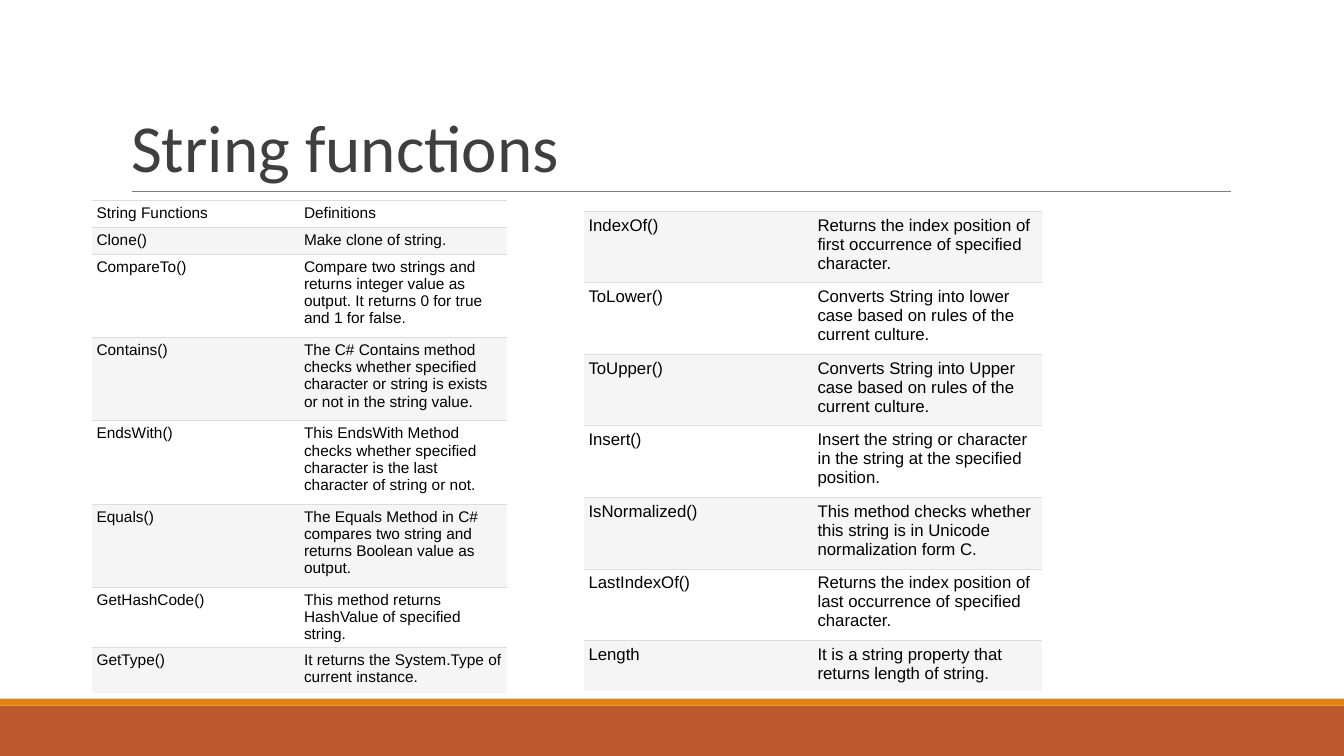
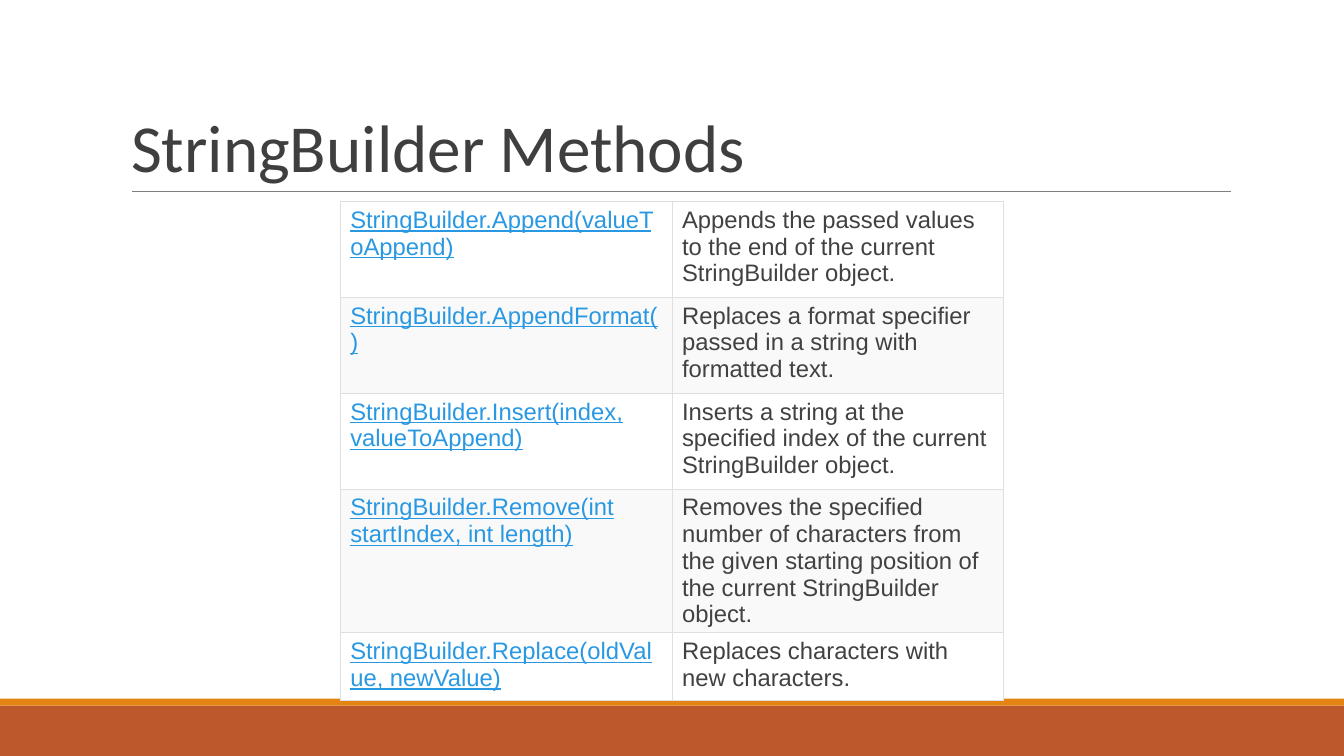
from lxml import etree
from pptx import Presentation
from pptx.dml.color import RGBColor
from pptx.enum.shapes import MSO_CONNECTOR, MSO_SHAPE
from pptx.enum.text import MSO_ANCHOR, MSO_AUTO_SIZE, PP_ALIGN
from pptx.oxml.ns import qn
from pptx.util import Pt

RECTANGLE = MSO_SHAPE.RECTANGLE
STRAIGHT = MSO_CONNECTOR.STRAIGHT
BOTTOM = MSO_ANCHOR.BOTTOM
LEFT = PP_ALIGN.LEFT
NO_FIT = MSO_AUTO_SIZE.NONE

COLORS = {
    "white": "FFFFFF", "brown": "BD582C", "orange": "E48312", "rule": "7F7F7F",
    "title": "3F3F3F", "black": "000000", "stripe": "F5F5F5", "border": "DDDDDD",
    "link": "2998E3", "text": "414141", "pale": "F9F9F9", "grid": "DFDFDF",
}
TITLE_ONLY = 5
PAGE_WIDTH, PAGE_HEIGHT = 960, 540
BANDS = [("brown", 504, 36), ("orange", 499, 5)]
TITLE_BOX = {"left": 86.4, "top": 22.3, "width": 792, "height": 114.5}
TITLE_FRAME = {
    "margin_left": Pt(7.2), "margin_right": Pt(7.2),
    "margin_top": Pt(3.6), "margin_bottom": Pt(3.6),
    "vertical_anchor": BOTTOM, "auto_size": NO_FIT, "word_wrap": True,
}
SIDES = ("L", "R", "T", "B")

BASIC_FUNCTIONS = [
    ("String Functions", "Definitions"),
    ("Clone()", "Make clone of string."),
    ("CompareTo()", "Compare two strings and returns integer value as output. "
     "It returns 0 for true and 1 for false."),
    ("Contains()", "The C# Contains method checks whether specified character or "
     "string is exists or not in the string value."),
    ("EndsWith()", "This EndsWith Method checks whether specified character is the "
     "last character of string or not."),
    ("Equals()", "The Equals Method in C# compares two string and returns Boolean "
     "value as output."),
    ("GetHashCode()", "This method returns HashValue of specified string."),
    ("GetType()", "It returns the System.Type of current instance."),
]
MORE_FUNCTIONS = [
    ("IndexOf()", "Returns the index position of first occurrence of specified character."),
    ("ToLower()", "Converts String into lower case based on rules of the current culture."),
    ("ToUpper()", "Converts String into Upper case based on rules of the current culture."),
    ("Insert()", "Insert the string or character in the string at the specified position."),
    ("IsNormalized()", "This method checks whether this string is in Unicode "
     "normalization form C."),
    ("LastIndexOf()", "Returns the index position of last occurrence of specified character."),
    ("Length", "It is a string property that returns length of string."),
]
BUILDER_METHODS = [
    ("StringBuilder.Append(valueToAppend)",
     "Appends the passed values to the end of the current StringBuilder object."),
    ("StringBuilder.AppendFormat()",
     "Replaces a format specifier passed in a string with formatted text."),
    ("StringBuilder.Insert(index, valueToAppend)",
     "Inserts a string at the specified index of the current StringBuilder object."),
    ("StringBuilder.Remove(int startIndex, int length)",
     "Removes the specified number of characters from the given starting position "
     "of the current StringBuilder object."),
    ("StringBuilder.Replace(oldValue, newValue)",
     "Replaces characters with new characters."),
]

FUNCTION_STYLE = {
    "border": "border", "sides": "TB", "open_end": True,
    "columns": [("black", False), ("black", False)],
}
BASIC_STYLE = FUNCTION_STYLE | {"size": 11, "margins": (3, 3), "fills": ("white", "stripe")}
MORE_STYLE = FUNCTION_STYLE | {"size": 12, "margins": (3.4, 3.4), "fills": ("stripe", "white")}
BUILDER_STYLE = {
    "border": "grid", "sides": "LRTB", "open_end": False,
    "columns": [("link", True), ("text", False)],
    "size": 17, "margins": (7.2, 3.6), "fills": ("white", "pale"),
}


def color(name):
    """Return the named colour."""
    return RGBColor.from_string(COLORS[name])


def set_values(target, values):
    """Set each named attribute on the target."""
    for name, value in values.items():
        setattr(target, name, value)


def format_font(font, name, size, color_name, underline=False):
    """Set the face, size and colour of a font."""
    set_values(font, {"name": name, "size": Pt(size), "underline": underline})
    font.color.rgb = color(color_name)


def add_band(page, fill, top, height):
    """Add one full-width footer band."""
    band = page.shapes.add_shape(RECTANGLE, 0, Pt(top), Pt(PAGE_WIDTH), Pt(height))
    band.shadow.inherit = False
    band.fill.solid()
    band.fill.fore_color.rgb = color(fill)
    band.line.fill.background()


def add_rule(page):
    """Add the thin line under the title."""
    rule = page.shapes.add_connector(STRAIGHT, Pt(94.3), Pt(136.8), Pt(879), Pt(136.8))
    rule.line.color.rgb = color("rule")
    rule.line.width = Pt(0.75)
    etree.SubElement(rule._element.spPr, qn("a:effectLst"))


def add_page(deck, title):
    """Add a slide with the shared title, rule and bands."""
    page = deck.slides.add_slide(deck.slide_layouts[TITLE_ONLY])
    for band in BANDS:
        add_band(page, *band)
    add_rule(page)
    box = page.shapes.title
    set_values(box, {name: Pt(value) for name, value in TITLE_BOX.items()})
    set_values(box.text_frame, TITLE_FRAME)
    para = box.text_frame.paragraphs[0]
    set_values(para, {"alignment": LEFT, "line_spacing": 0.85})
    span = para.add_run()
    span.text = title
    format_font(span.font, "Calibri", 48, "title")
    return page


def set_borders(cell, color_name, sides):
    """Draw the listed sides of a cell and clear the others."""
    properties = cell._tc.get_or_add_tcPr()
    for side in SIDES:
        line = etree.SubElement(properties, qn(f"a:ln{side}"), w=str(Pt(0.75)))
        if side in sides:
            fill = etree.SubElement(line, qn("a:solidFill"))
            etree.SubElement(fill, qn("a:srgbClr"), val=COLORS[color_name])
        else:
            etree.SubElement(line, qn("a:noFill"))


def fill_cell(cell, text, column_format, fill, style):
    """Write and format one table cell."""
    across, down = (Pt(margin) for margin in style["margins"])
    set_values(cell, {"margin_left": across, "margin_right": across,
                      "margin_top": down, "margin_bottom": down})
    cell.fill.solid()
    cell.fill.fore_color.rgb = color(fill)
    span = cell.text_frame.paragraphs[0].add_run()
    span.text = text
    format_font(span.font, "Arial", style["size"], *column_format)


def add_grid(page, left, top, column_width, heights, rows, style):
    """Add a two-column table with alternating row fills."""
    columns = style["columns"]
    frame = page.shapes.add_table(len(rows), len(columns), Pt(left), Pt(top),
                                  Pt(column_width * len(columns)), Pt(sum(heights)))
    table = frame.table
    set_values(table, {"first_row": False, "horz_banding": False})
    for column in table.columns:
        column.width = Pt(column_width)
    for row_index, (texts, height) in enumerate(zip(rows, heights)):
        table.rows[row_index].height = Pt(height)
        is_last = row_index == len(rows) - 1
        sides = "T" if is_last and style["open_end"] else style["sides"]
        fill = style["fills"][row_index % 2]
        for column_index, text in enumerate(texts):
            cell = table.cell(row_index, column_index)
            set_borders(cell, style["border"], sides)
            fill_cell(cell, text, columns[column_index], fill, style)


def main():
    """Build and save the deck."""
    deck = Presentation()
    set_values(deck, {"slide_width": Pt(PAGE_WIDTH), "slide_height": Pt(PAGE_HEIGHT)})
    page = add_page(deck, "String functions")
    add_grid(page, 66, 143, 148.2, [19.3] * 2 + [59.5] * 4 + [43, 32.5],
             BASIC_FUNCTIONS, BASIC_STYLE)
    add_grid(page, 417, 151, 163.6, [51.1] * 6 + [36], MORE_FUNCTIONS, MORE_STYLE)
    page = add_page(deck, "StringBuilder Methods")
    add_grid(page, 243, 144, 237, [68.5] * 3 + [102, 48], BUILDER_METHODS, BUILDER_STYLE)
    deck.save("out.pptx")


if __name__ == "__main__":
    main()
